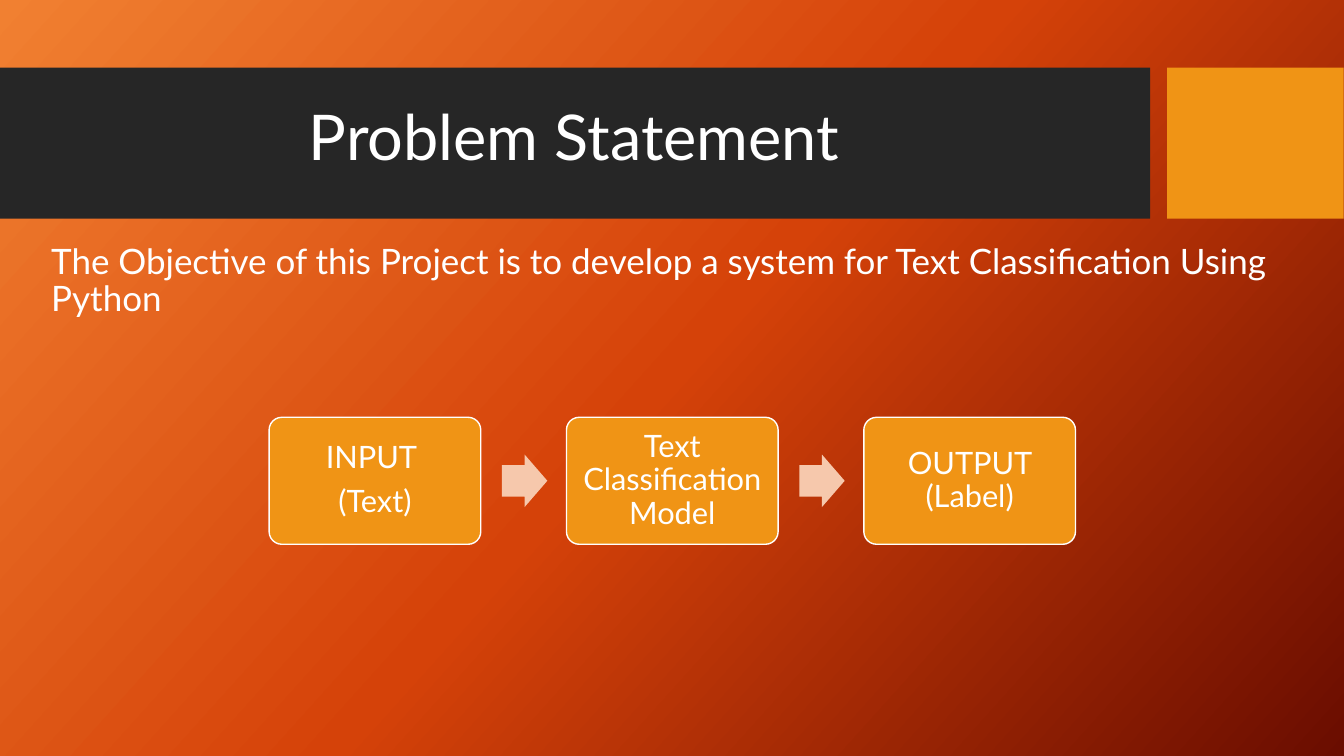
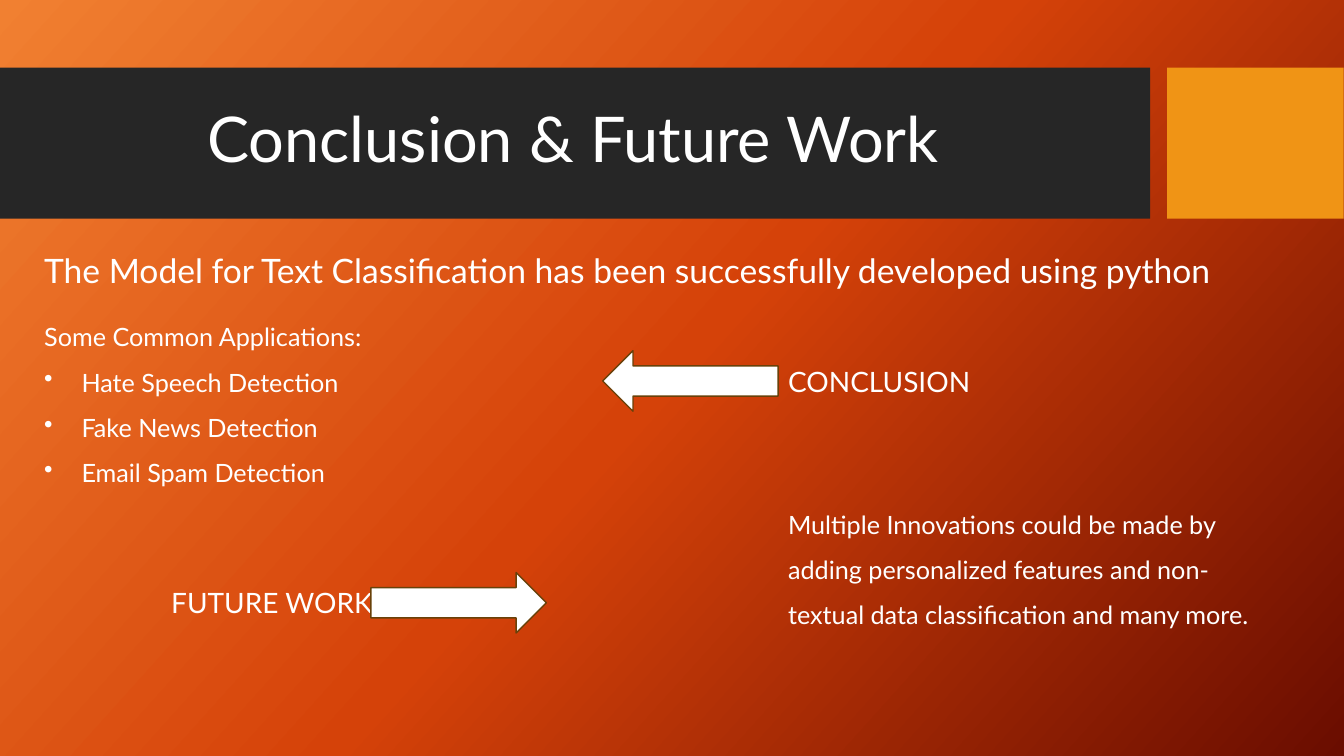
"""Build two slides on a text classification project."""
from copy import deepcopy
from dataclasses import dataclass, field
from typing import Any

from pptx import Presentation
from pptx import slide as sl
from pptx import util as u
from pptx.dml import color
from pptx.enum import shapes, text
from pptx.oxml import ns, xmlchemy

PX = 9144
FONT = "Lato"
HEX = {
    "white": "FFFFFF",
    "dark": "262626",
    "gold": "F09415",
    "peach": "F6C8AC",
    "brown": "694109",
}
STOPS = {0: "F18031", 0.5: "D54209", 1: "6A0D00"}
KIND = shapes.MSO_SHAPE
MID = text.MSO_ANCHOR.MIDDLE
CENTER = text.PP_ALIGN.CENTER
TIGHT = {"line_spacing": 0.9}
LOOSE = {"line_spacing": 1.5}
TITLE = {"alignment": CENTER, **TIGHT}
STEP = {**TITLE, "space_after": u.Pt(7.7)}


@dataclass
class Box:
    """Place of an item in px."""
    left: int
    top: int
    width: int
    height: int

    def emu(self) -> list[u.Emu]:
        """Give the place in EMU."""
        return [u.Emu(n * PX) for n in
                (self.left, self.top, self.width, self.height)]


@dataclass
class Form:
    """A preset shape with its paint."""
    kind: Any
    box: Box
    fill: str
    line: str = ""
    bends: tuple[float, ...] = ()


@dataclass
class Note:
    """A block of text with its style."""
    box: Box
    lines: list[str]
    size: int
    style: dict[str, Any] = field(default_factory=dict)
    dots: int = 0


BANDS = [
    Form(KIND.RECTANGLE, Box(0, 67, 1141, 150), "dark"),
    Form(KIND.RECTANGLE, Box(1158, 67, 175, 150), "gold"),
]
STEPS = [["INPUT ", "(Text)"], ["Text Classification Model"], ["OUTPUT (Label)"]]
PITCH = 295
LINKS = [
    Form(KIND.LEFT_ARROW, Box(598, 348, 174, 60), "white", "brown"),
    Form(KIND.RIGHT_ARROW, Box(368, 568, 174, 60), "white", "brown"),
]
GOAL = Note(
    Box(41, 237, 1292, 59),
    ["The Objective of this Project is to develop a system for "
     "Text Classification Using Python"], 25, TIGHT)
NOTES = [
    Note(Box(34, 248, 1239, 68),
         ["The Model for Text Classification has been successfully "
          "developed using python"], 24, TIGHT),
    Note(Box(34, 299, 509, 186),
         ["Some Common Applications:", "Hate Speech Detection",
          "Fake News Detection", "Email Spam Detection"], 18, LOOSE, 37),
    Note(Box(772, 485, 500, 186),
         ["Multiple Innovations could be made by adding personalized "
          "features and non-textual data classification and many more."],
         18, LOOSE),
    Note(Box(772, 357, 500, 44), ["CONCLUSION"], 20),
    Note(Box(160, 576, 228, 44), ["FUTURE WORK"], 20),
]


def rgb(name: str) -> color.RGBColor:
    """Look up a colour."""
    return color.RGBColor.from_string(HEX[name])


def apply(item: Any, style: dict[str, Any]) -> None:
    """Set each format value on an item."""
    for key, value in style.items():
        setattr(item, key, value)


def dot(par: Any, dent: int) -> None:
    """Hang a bullet before a paragraph."""
    props = par._p.get_or_add_pPr()
    props.set("marL", str(dent * PX))
    props.set("indent", str(-dent * PX))
    mark = xmlchemy.OxmlElement("a:buChar")
    mark.set("char", "•")
    props.append(mark)


def write(frame: Any, lines: list[str], size: int, style: dict[str, Any],
          dots: int = 0) -> None:
    """Fill a frame with lines, the first one never dotted."""
    apply(frame, {"word_wrap": True, "auto_size": text.MSO_AUTO_SIZE.NONE})
    frame.text = "\n".join(lines)
    for rank, par in enumerate(frame.paragraphs):
        apply(par, style)
        for run in par.runs:
            apply(run.font, {"name": FONT, "size": u.Pt(size)})
            run.font.color.rgb = rgb("white")
        if dots and rank:
            dot(par, dots)


def draw(page: sl.Slide, form: Form) -> Any:
    """Draw a preset shape."""
    shape = page.shapes.add_shape(form.kind, *form.box.emu())
    shape.shadow.inherit = False
    shape.fill.solid()
    shape.fill.fore_color.rgb = rgb(form.fill)
    if form.line:
        shape.line.color.rgb = rgb(form.line)
        shape.line.width = u.Pt(1)
    else:
        shape.line.fill.background()
    for rank, bend in enumerate(form.bends):
        shape.adjustments[rank] = bend
    return shape


def put(page: sl.Slide, note: Note) -> None:
    """Place a text box."""
    area = page.shapes.add_textbox(*note.box.emu())
    write(area.text_frame, note.lines, note.size, note.style, note.dots)


def paint(base: sl.SlideMaster) -> None:
    """Lay the shared gradient on the master."""
    fill = base.background.fill
    fill.gradient()
    fill.gradient_angle = 318
    stops = base.element.find(".//" + ns.qn("a:gsLst"))
    stops.append(deepcopy(stops[0]))
    for stop, (place, tone) in zip(fill.gradient_stops, STOPS.items()):
        stop.position = place
        stop.color.rgb = color.RGBColor.from_string(tone)


def start(deck: Any, title: str, box: Box) -> sl.Slide:
    """Add a slide with bands behind its title."""
    page = deck.slides.add_slide(deck.slide_layouts[5])
    for band in BANDS:
        draw(page, band)
    head = page.shapes.title
    page.shapes.element.append(head.element)
    apply(head, dict(zip(("left", "top", "width", "height"), box.emu())))
    head.text_frame.vertical_anchor = MID
    write(head.text_frame, [title], 45, TITLE)
    return page


def state(deck: Any) -> None:
    """Build the problem slide."""
    page = start(deck, "Problem Statement", Box(0, 68, 1139, 141))
    put(page, GOAL)
    pad = u.Emu(13 * PX)
    sides = {"margin_" + side: pad for side in ("left", "right", "top", "bottom")}
    for rank, lines in enumerate(STEPS):
        shift = rank * PITCH
        if rank:
            draw(page, Form(KIND.RIGHT_ARROW, Box(203 + shift, 451, 45, 52),
                            "peach", bends=(0.6, 0.5)))
        step = draw(page, Form(KIND.ROUNDED_RECTANGLE,
                               Box(267 + shift, 414, 210, 126),
                               "gold", "white", (0.1,)))
        apply(step.text_frame, {"vertical_anchor": MID, **sides})
        write(step.text_frame, lines, 22, STEP)


def close(deck: Any) -> None:
    """Build the closing slide."""
    page = start(deck, "Conclusion & Future Work", Box(0, 82, 1137, 118))
    for note in NOTES:
        put(page, note)
    for link in LINKS:
        draw(page, link)


def main() -> None:
    """Build and save the deck."""
    deck = Presentation()
    apply(deck, {"slide_width": u.Emu(12192000), "slide_height": u.Emu(750 * PX)})
    paint(deck.slide_master)
    state(deck)
    close(deck)
    deck.save("out.pptx")


if __name__ == "__main__":
    main()
